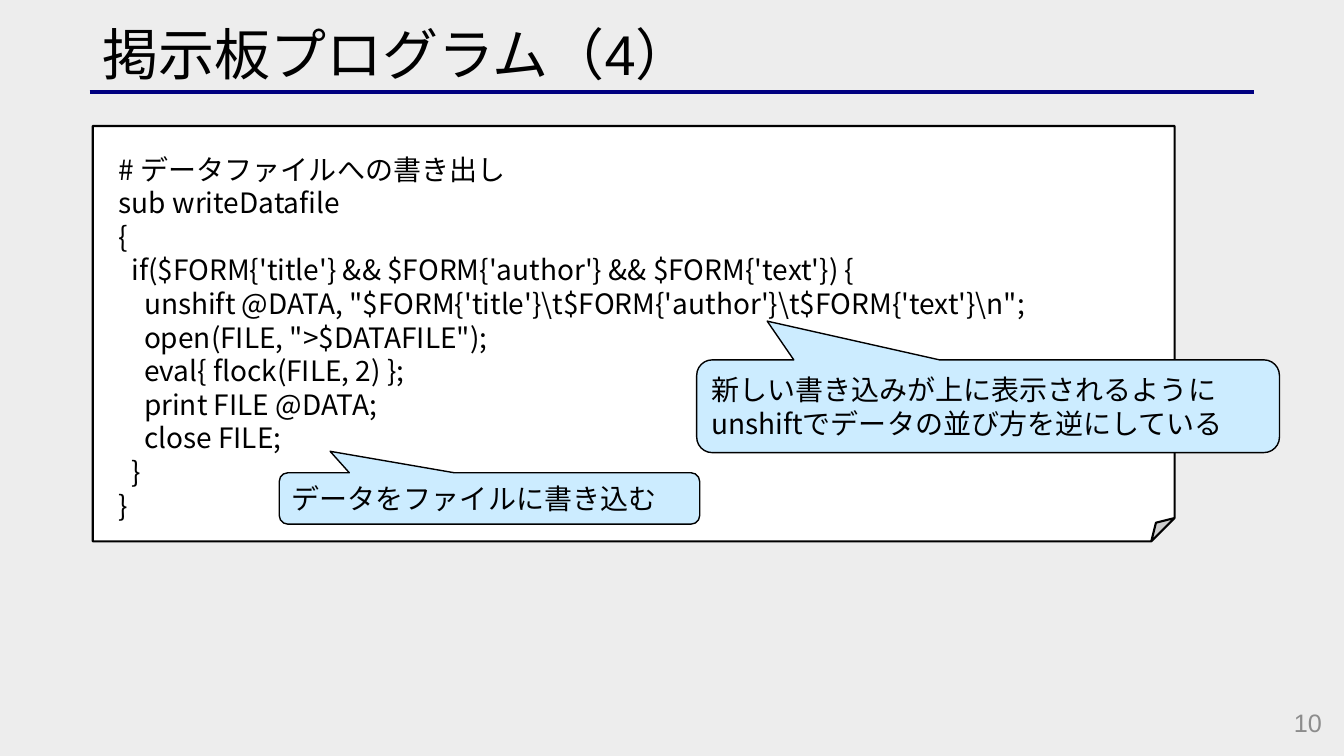
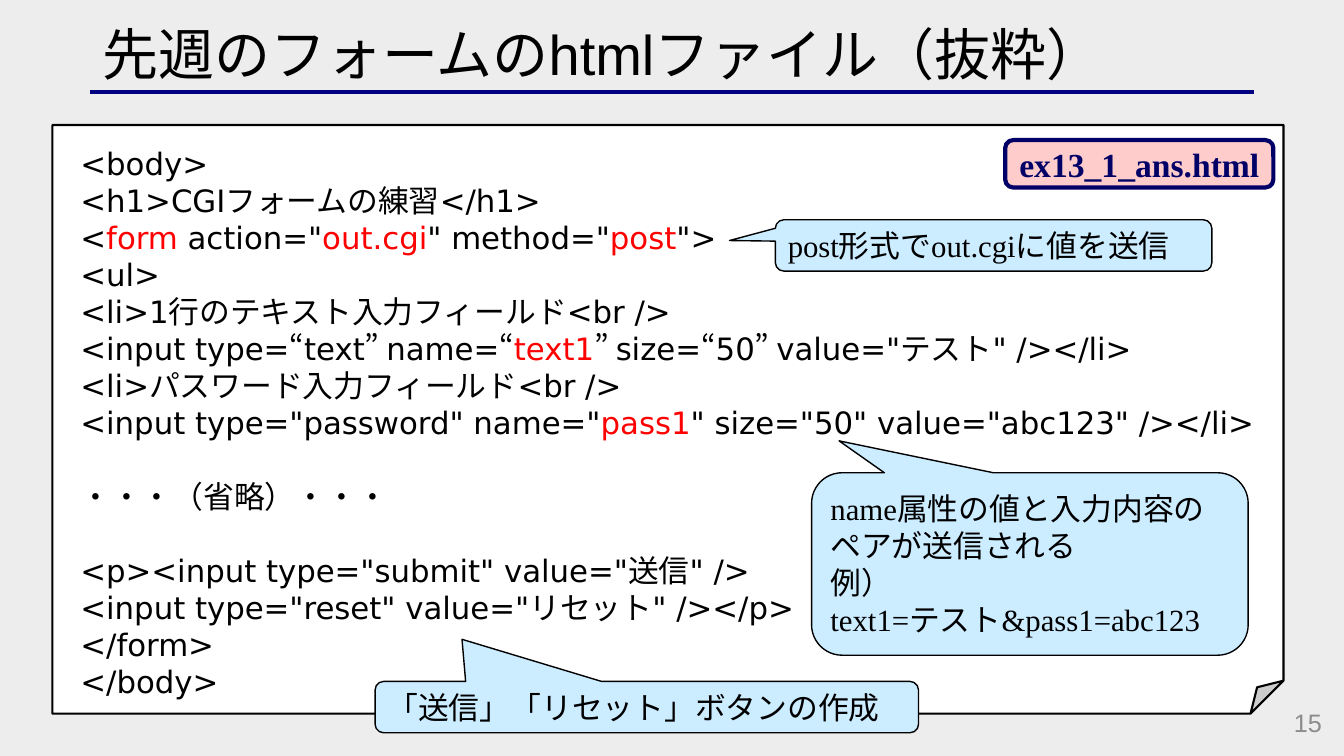
"""Build two lecture slides with annotated code listings."""
from pptx import Presentation
from pptx.dml.color import RGBColor
from pptx.enum.lang import MSO_LANGUAGE_ID
from pptx.enum.shapes import MSO_CONNECTOR, MSO_SHAPE
from pptx.enum.text import MSO_ANCHOR, PP_ALIGN
from pptx.oxml.ns import qn
from pptx.util import Inches, Pt
from lxml.etree import SubElement

COLORS = {
    "background": "EDEDED", "rule": "000080", "text": "000000", "number": "8C8C8C",
    "keyword": "FF0000", "paper": "FFFFFF", "callout": "CCECFF",
    "label": "FFCCCC", "label_text": "000066",
}
EAST_ASIAN_FONT = "Noto Sans CJK JP"
INDENT_STEP = 0.125

WRITE_CODE = [
    (0, "# データファイルへの書き出し"),
    (0, "sub writeDatafile"),
    (0, "{"),
    (1, "if($FORM{'title'} && $FORM{'author'} && $FORM{'text'}) {"),
    (2, "unshift @DATA, \"$FORM{'title'}\\t$FORM{'author'}\\t$FORM{'text'}\\n\";"),
    (2, 'open(FILE, ">$DATAFILE");'),
    (2, "eval{ flock(FILE, 2) };"),
    (2, "print FILE @DATA;"),
    (2, "close FILE;"),
    (1, "}"),
    (0, "}"),
]
FORM_BLOCKS = [
    [
        "<body>",
        "<h1>CGIフォームの練習</h1>",
        '<|form| action="|out.cgi|" method="|post|">',
        "<ul>",
        "<li>1行のテキスト入力フィールド<br />",
        '<input type=“text” name=“|text1|” size=“50” value="テスト" /></li>',
        "<li>パスワード入力フィールド<br />",
        '<input type="password" name="|pass1|" size="50" value="abc123" /></li>',
    ],
    ["・・・（省略）・・・"],
    [
        '<p><input type="submit" value="送信" />',
        '<input type="reset" value="リセット" /></p>',
        "</form>",
        "</body>",
    ],
]


def rgb(name):
    """Return the named palette colour."""
    return RGBColor.from_string(COLORS[name])


def add_text(paragraph, text, size=20, font=EAST_ASIAN_FONT, color="text", bold=False,
             align=PP_ALIGN.LEFT, line_spacing=None, space_before=0, indent=0):
    """Fill a paragraph; parts between bars take the keyword colour."""
    paragraph.alignment = align
    paragraph.space_before = Pt(space_before)
    if line_spacing:
        paragraph.line_spacing = line_spacing
    if indent:
        paragraph._p.get_or_add_pPr().set("marL", str(Inches(indent)))
    for index, part in enumerate(text.split("|")):
        run = paragraph.add_run()
        run.text = part
        run.font.size = Pt(size)
        run.font.name = font
        run.font.bold = bold
        run.font.language_id = MSO_LANGUAGE_ID.JAPANESE
        run.font.color.rgb = rgb("keyword" if index % 2 else color)
        SubElement(run._r.rPr, qn("a:ea")).set("typeface", EAST_ASIAN_FONT)


def next_paragraph(frame):
    """Return the empty first paragraph, or a new one after filled text."""
    first = frame.paragraphs[0]
    return frame.add_paragraph() if first.runs else first


def add_box(slide, box, anchor=MSO_ANCHOR.TOP):
    """Add a wrapping text box and return its text frame."""
    frame = slide.shapes.add_textbox(*map(Inches, box)).text_frame
    frame.word_wrap = True
    frame.vertical_anchor = anchor
    return frame


def set_adjustments(shape, values):
    """Write the outline guides, also for presets listed without any."""
    guides = shape._element.spPr.find(qn("a:prstGeom")).find(qn("a:avLst"))
    for guide in list(guides):
        guides.remove(guide)
    for number, value in enumerate(values, 1):
        guide = SubElement(guides, qn("a:gd"))
        guide.set("name", f"adj{number}" if len(values) > 1 else "adj")
        guide.set("fmla", f"val {round(value * 100000)}")


def add_figure(slide, kind, box, fill, adjustments, line="text", width=1.0):
    """Add an outlined preset shape and return its text frame."""
    shape = slide.shapes.add_shape(kind, *map(Inches, box))
    shape.shadow.inherit = False
    shape.fill.solid()
    shape.fill.fore_color.rgb = rgb(fill)
    shape.line.color.rgb = rgb(line)
    shape.line.width = Pt(width)
    set_adjustments(shape, adjustments)
    frame = shape.text_frame
    frame.word_wrap = True
    frame.vertical_anchor = MSO_ANCHOR.MIDDLE
    return frame


def add_paper(slide, box):
    """Add the sheet with a folded corner behind a listing."""
    add_figure(slide, MSO_SHAPE.FOLDED_CORNER, box, "paper", [0.056], width=1.5)


def add_callout(slide, box, tip, lines, **text_format):
    """Add a speech bubble whose tip is relative to its centre."""
    frame = add_figure(slide, MSO_SHAPE.ROUNDED_RECTANGULAR_CALLOUT, box,
                       "callout", [*tip, 0.167])
    for line in lines:
        add_text(next_paragraph(frame), line, **text_format)


def add_slide(presentation, title, number):
    """Add a slide with background, title, rule and page number."""
    slide = presentation.slides.add_slide(presentation.slide_layouts[6])
    slide.background.fill.solid()
    slide.background.fill.fore_color.rgb = rgb("background")
    rule = slide.shapes.add_connector(
        MSO_CONNECTOR.STRAIGHT, *map(Inches, (0.89, 0.91, 12.44, 0.91)))
    rule.line.color.rgb = rgb("rule")
    rule.line.width = Pt(3)
    SubElement(rule._element.spPr, qn("a:effectLst"))
    title_frame = add_box(slide, (0.92, 0.13, 11.5, 0.79), MSO_ANCHOR.BOTTOM)
    add_text(title_frame.paragraphs[0], title, size=40, font="Arial", line_spacing=0.9)
    number_frame = add_box(slide, (10.21, 6.97, 3, 0.4), MSO_ANCHOR.MIDDLE)
    add_text(number_frame.paragraphs[0], str(number), size=18, font="Arial",
             color="number", align=PP_ALIGN.RIGHT)
    return slide


def build_write_slide(presentation):
    """Build the slide about writing the data file."""
    slide = add_slide(presentation, "掲示板プログラム（4）", 10)
    add_paper(slide, (0.92, 1.25, 10.73, 4.12))
    frame = add_box(slide, (1.08, 1.46, 10.39, 3.8))
    for level, line in WRITE_CODE:
        add_text(next_paragraph(frame), line, indent=level * INDENT_STEP)
    tip = (-0.379, -0.918)
    add_callout(slide, (6.91, 3.57, 5.78, 0.92), tip,
                ["新しい書き込みが上に表示されるように", "unshiftでデータの並び方を逆にしている"])
    add_callout(slide, (2.77, 4.69, 4.17, 0.51), tip, ["データをファイルに書き込む"])


def build_form_slide(presentation):
    """Build the slide about the HTML form."""
    slide = add_slide(presentation, "先週のフォームのhtmlファイル（抜粋）", 15)
    add_paper(slide, (0.52, 1.24, 12.21, 5.84))
    frame = add_box(slide, (0.7, 1.39, 12.03, 5.65))
    for block_index, block in enumerate(FORM_BLOCKS):
        for line_index, line in enumerate(block):
            gap = 26.4 if block_index and not line_index else 0
            add_text(next_paragraph(frame), line, size=22, font="DejaVu Sans",
                     space_before=gap)
    label = add_figure(slide, MSO_SHAPE.ROUNDED_RECTANGLE, (9.97, 1.39, 2.66, 0.47),
                       "label", [0.167], line="label_text", width=3)
    label.word_wrap = False
    add_text(label.paragraphs[0], "ex13_1_ans.html", size=24, font="Times New Roman",
             color="label_text", bold=True, align=PP_ALIGN.CENTER)
    callouts = [
        ((7.69, 2.18, 4.33, 0.51), (-0.605, -0.095), ["post形式でout.cgiに値を送信"]),
        ((8.05, 4.69, 4.33, 1.81), (-0.437, -0.675),
         ["name属性の値と入力内容のペアが送信される", "例）", "text1=テスト&pass1=abc123"]),
        ((3.72, 6.76, 5.39, 0.51), (-0.34, -1.319), ["「送信」「リセット」ボタンの作成"]),
    ]
    for box, tip, lines in callouts:
        add_callout(slide, box, tip, lines, size=22, font="Times New Roman")


def main():
    """Build and save the presentation."""
    presentation = Presentation()
    presentation.slide_width = Inches(13.33)
    presentation.slide_height = Inches(7.5)
    build_write_slide(presentation)
    build_form_slide(presentation)
    presentation.save("out.pptx")


if __name__ == "__main__":
    main()
